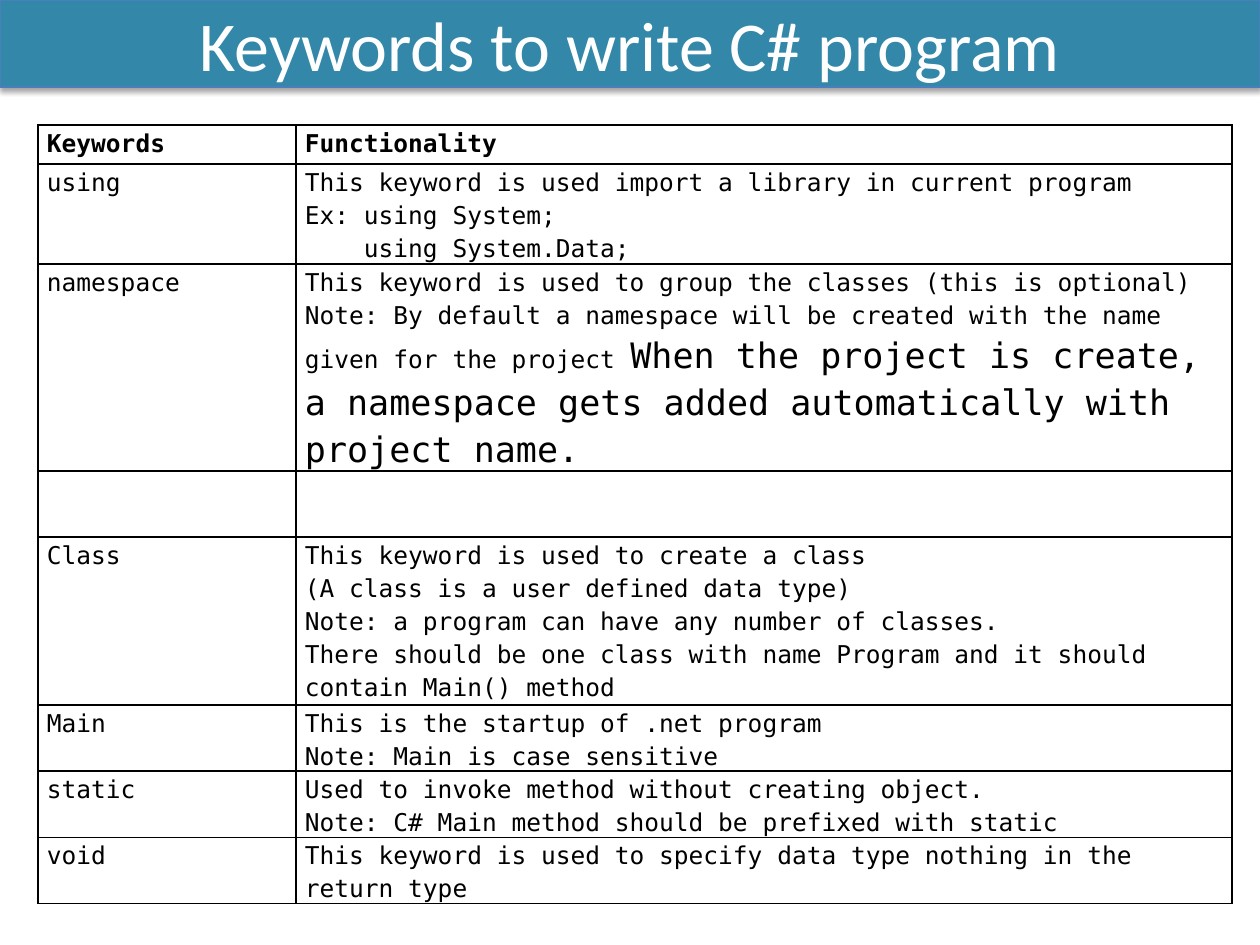
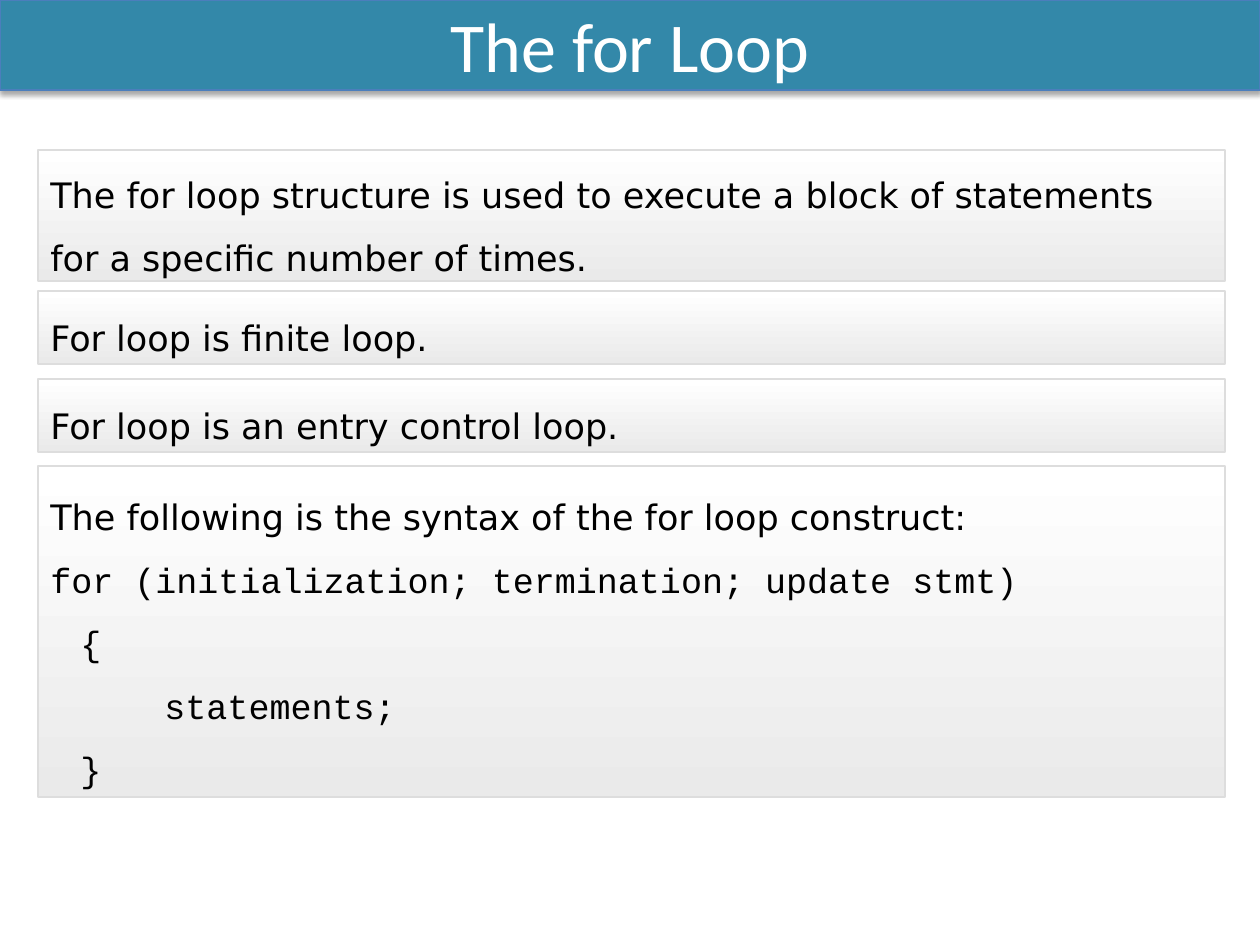
from lxml.etree import SubElement
from pptx import Presentation
from pptx.dml.color import RGBColor
from pptx.enum.shapes import MSO_SHAPE
from pptx.enum.text import MSO_ANCHOR, MSO_AUTO_SIZE, PP_ALIGN
from pptx.oxml import parse_xml
from pptx.oxml.ns import nsdecls, qn
from pptx.util import Emu, Pt

COLORS = {
    "band": "3388A9", "band_line": "4B7EBC", "white": "FFFFFF", "black": "000000",
    "panel_end": "EAEAEA", "panel_line": "DDDDDD",
}
TITLE_FONT, TEXT_FONT = "Calibri", "DejaVu Sans"
TABLE_FONT, CODE_FONT = "DejaVu Sans Mono", "Courier New"
TEXT_SIZE, TABLE_SIZE = 20, 14
SLIDE_W, SLIDE_H = 1260, 945
LEFT = 38


def px(n):
    return Emu(round(n * 914400 / 126))


def rgb(name):
    return RGBColor.from_string(COLORS[name])


class Deck:
    def __init__(self):
        self.prs = Presentation()
        self.prs.slide_width, self.prs.slide_height = px(SLIDE_W), px(SLIDE_H)
        self.s = None

    def font(self, r, name, size, color="black", bold=False):
        r.font.name, r.font.size, r.font.bold = name, Pt(size), bold
        r.font.color.rgb = rgb(color)

    def slide(self, title, band_height):
        """Start a slide with its title in a shadowed band."""
        self.s = self.prs.slides.add_slide(self.prs.slide_layouts[5])
        sp = self.s.shapes.title
        sp.left, sp.top, sp.width, sp.height = 0, 0, px(SLIDE_W), px(band_height)
        sp.fill.solid()
        sp.fill.fore_color.rgb = rgb("band")
        sp.line.color.rgb = rgb("band_line")
        sp.line.width = Pt(0.75)
        sp._element.spPr.append(parse_xml(
            f'<a:effectLst {nsdecls("a")}>'
            '<a:outerShdw blurRad="40000" dist="23000" dir="5400000" rotWithShape="0">'
            f'<a:srgbClr val="{COLORS["black"]}"><a:alpha val="35000"/></a:srgbClr>'
            '</a:outerShdw></a:effectLst>'))
        tf = sp.text_frame
        tf.text = title
        tf.auto_size = MSO_AUTO_SIZE.NONE
        tf.vertical_anchor = MSO_ANCHOR.MIDDLE
        tf.margin_top = tf.margin_bottom = 0
        p = tf.paragraphs[0]
        p.alignment = PP_ALIGN.CENTER
        self.font(p.runs[0], TITLE_FONT, 40, "white")

    def cell_borders(self, cell):
        tcPr = cell._tc.get_or_add_tcPr()
        for side in ("lnL", "lnR", "lnT", "lnB"):
            ln = SubElement(tcPr, qn(f"a:{side}"), w=str(Pt(1)))
            fill = SubElement(ln, qn("a:solidFill"))
            SubElement(fill, qn("a:srgbClr"), val=COLORS["black"])

    def table(self, top, cols, heights, rows):
        """Draw a plain bordered grid with a bold first row."""
        frame = self.s.shapes.add_table(len(rows), len(cols), px(LEFT), px(top),
                                        px(sum(cols)), px(sum(heights)))
        table = frame.table
        table.first_row = table.horz_banding = False
        for column, width in zip(table.columns, cols):
            column.width = px(width)
        for i, (row, height) in enumerate(zip(rows, heights)):
            table.rows[i].height = px(height)
            for j, text in enumerate(row):
                cell = table.cell(i, j)
                cell.margin_left = cell.margin_right = px(9)
                cell.margin_top = cell.margin_bottom = 0
                self.cell_borders(cell)
                cell.fill.background()
                cell.text_frame.text = text
                for p in cell.text_frame.paragraphs:
                    p.line_spacing = 1.15
                    for r in p.runs:
                        self.font(r, TABLE_FONT, TABLE_SIZE, bold=i == 0)
        return table

    def panel(self, top, height, text, code=""):
        """Draw a gradient box of text, with optional code lines below it."""
        sp = self.s.shapes.add_shape(MSO_SHAPE.RECTANGLE, px(LEFT), px(top),
                                     px(1187), px(height))
        sp.shadow.inherit = False
        sp.fill.gradient()
        sp.fill.gradient_angle = 270
        for stop, color in zip(sp.fill.gradient_stops, ("white", "panel_end")):
            stop.color.rgb = rgb(color)
        sp.line.color.rgb = rgb("panel_line")
        sp.line.width = Pt(1)
        tf = sp.text_frame
        tf.word_wrap = True
        tf.vertical_anchor = MSO_ANCHOR.MIDDLE
        tf.text = f"{text}\n{code}" if code else text
        for i, p in enumerate(tf.paragraphs):
            p.alignment = PP_ALIGN.LEFT
            p.line_spacing = 1.5
            tabs = SubElement(p._p.get_or_add_pPr(), qn("a:tabLst"))
            for k in range(8):
                SubElement(tabs, qn("a:tab"), pos=str(px(30 + 62 * k)), algn="l")
            self.font(p.runs[0], CODE_FONT if i else TEXT_FONT, TEXT_SIZE)


KEYWORDS = [
    ("Keywords", "Functionality"),
    ("using", "This keyword is used import a library in current program\n"
              "Ex: using System;\n"
              "    using System.Data;"),
    ("namespace", "This keyword is used to group the classes (this is optional)\n"
                  "Note: By default a namespace will be created with the name "
                  "given for the project "),
    ("", ""),
    ("Class", "This keyword is used to create a class\n"
              "(A class is a user defined data type)\n"
              "Note: a program can have any number of classes.\n"
              "There should be one class with name Program and it should "
              "contain Main() method"),
    ("Main", "This is the startup of .net program\n"
             "Note: Main is case sensitive"),
    ("static", "Used to invoke method without creating object.\n"
               "Note: C# Main method should be prefixed with static"),
    ("void", "This keyword is used to specify data type nothing in the return type"),
]
FOR_SYNTAX = "for (initialization; termination; update stmt)\n\t{\n\t    statements;\n\t}"


def main():
    deck = Deck()

    # Keyword table
    deck.slide("Keywords to write C# program", 87)
    table = deck.table(125, (258, 936), (39, 100, 207, 66, 168, 66, 66, 66), KEYWORDS)
    r = table.cell(2, 1).text_frame.paragraphs[-1].add_run()
    r.text = ("When the project is create, a namespace gets added automatically "
              "with project name.")
    deck.font(r, TABLE_FONT, TEXT_SIZE)

    # For loop
    deck.slide("The for Loop", 90)
    deck.panel(150, 131, "The for loop structure is used to execute a block of "
                         "statements for a specific number of times.")
    deck.panel(291, 73, "For loop is finite loop.")
    deck.panel(379, 73, "For loop is an entry control loop.")
    deck.panel(466, 331, "The following is the syntax of the for loop construct:",
               FOR_SYNTAX)

    deck.prs.save("out.pptx")


if __name__ == "__main__":
    main()
